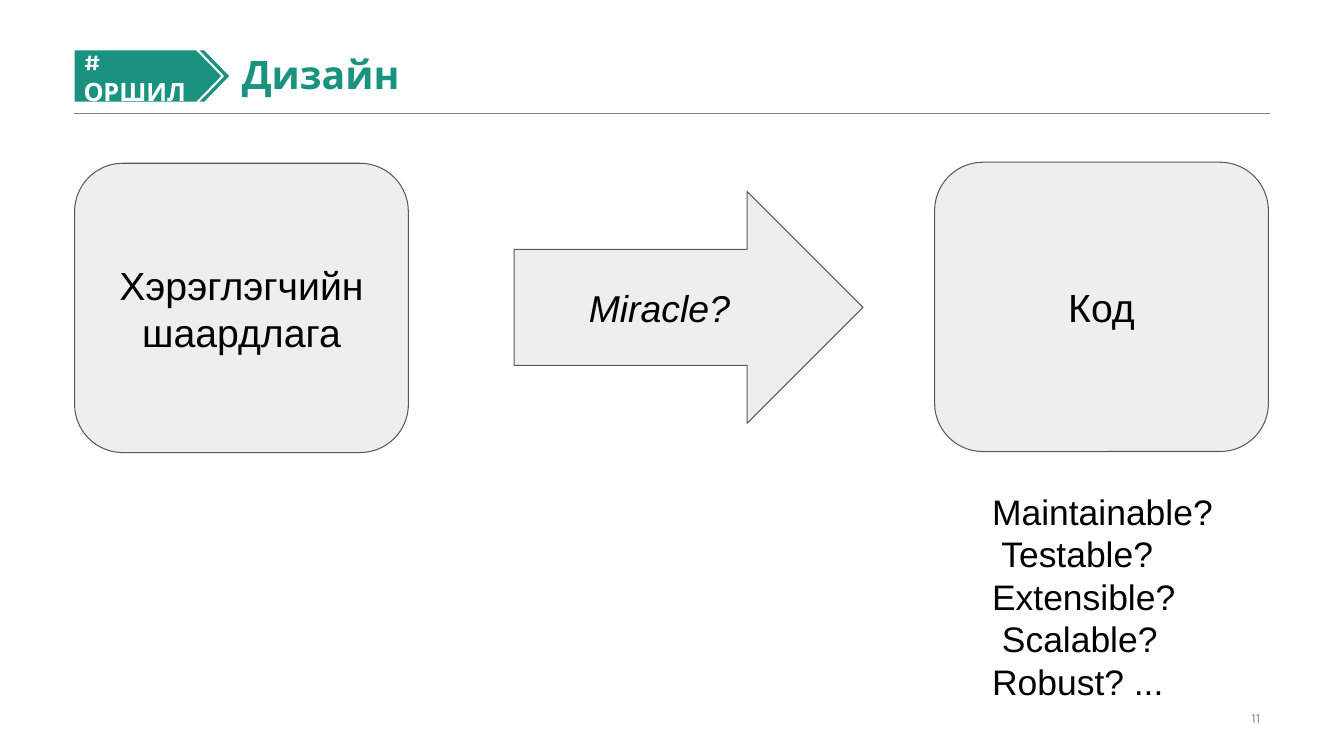
from pptx import Presentation
from pptx.dml.color import RGBColor
from pptx.enum.shapes import MSO_CONNECTOR, MSO_SHAPE
from pptx.enum.text import MSO_ANCHOR, PP_ALIGN
from pptx.oxml import parse_xml
from pptx.oxml.ns import nsdecls
from pptx.util import Emu, Pt

PX = 9144  # one px is 1/100 inch
COLORS = {
    "green": "1A9280",
    "white": "FFFFFF",
    "black": "000000",
    "panel": "EEEEEE",
    "outline": "595959",
    "rule": "808080",
    "number": "8C8C8C",
}


def px(*lengths):
    return [Emu(length * PX) for length in lengths]


def color(name):
    return RGBColor.from_string(COLORS[name])


class SlideBuilder:
    heading_font = "Karla"
    body_font = "Arial"

    def __init__(self, slide):
        self.slide = slide

    def rule(self, left, top, right):
        line = self.slide.shapes.add_connector(
            MSO_CONNECTOR.STRAIGHT, *px(left, top, right, top))
        line.line.color.rgb = color("rule")
        line.line.width = Pt(0.25)
        line._element.spPr.append(parse_xml(f"<a:effectLst {nsdecls('a')}/>"))

    def shape(self, kind, box, fill, outline, width):
        shape = self.slide.shapes.add_shape(kind, *px(*box))
        shape.shadow.inherit = False
        shape.fill.solid()
        shape.fill.fore_color.rgb = color(fill)
        shape.line.color.rgb = color(outline)
        shape.line.width = Pt(width)
        return shape

    def panel(self, kind, box, text, size, italic=False):
        shape = self.shape(kind, box, "panel", "outline", 0.75)
        self.set_text(shape, [text], size, align=PP_ALIGN.CENTER, italic=italic)

    def badge(self, box):
        shape = self.shape(MSO_SHAPE.PENTAGON, box, "green", "white", 1.5)
        shape.adjustments[0] = 0.486
        return shape

    def text_box(self, box, lines, size, insets=None, **style):
        shape = self.slide.shapes.add_textbox(*px(*box))
        if insets:
            frame = shape.text_frame
            (frame.margin_left, frame.margin_top,
             frame.margin_right, frame.margin_bottom) = px(*insets)
        self.set_text(shape, lines, size, **style)

    def set_text(self, shape, lines, size, font=body_font, fill="black", bold=False,
                 italic=False, align=PP_ALIGN.LEFT, anchor=MSO_ANCHOR.MIDDLE, spacing=1.0):
        frame = shape.text_frame
        frame.word_wrap = True
        frame.vertical_anchor = anchor
        for index, line in enumerate(lines):
            paragraph = frame.add_paragraph() if index else frame.paragraphs[0]
            paragraph.text = line
            paragraph.alignment = align
            paragraph.line_spacing = spacing
            paragraph.font.name = font
            paragraph.font.size = Pt(size)
            paragraph.font.bold = bold
            paragraph.font.italic = italic
            paragraph.font.color.rgb = color(fill)


def main():
    presentation = Presentation()
    presentation.slide_width, presentation.slide_height = px(1333, 750)
    slide = presentation.slides.add_slide(presentation.slide_layouts[6])
    builder = SlideBuilder(slide)
    heading = builder.heading_font

    # Header rule, page number and title
    builder.rule(73, 112, 1260)
    builder.text_box((942, 701, 318, 23), ["11"], 10, font=heading,
                     fill="number", align=PP_ALIGN.RIGHT)
    builder.text_box((230, 49, 1030, 53), ["Дизайн"], 28, font=heading, fill="green",
                     bold=True, anchor=MSO_ANCHOR.BOTTOM, spacing=0.9)

    # From requirements to code
    builder.panel(MSO_SHAPE.ROUNDED_RECTANGLE, (74, 162, 331, 287),
                  "Хэрэглэгчийн шаардлага", 28)
    builder.panel(MSO_SHAPE.ROUNDED_RECTANGLE, (927, 161, 331, 287), "Код", 28)
    builder.panel(MSO_SHAPE.RIGHT_ARROW, (510, 190, 346, 230), "Miracle?", 26.7, italic=True)

    # Code qualities
    qualities = ["Maintainable?\v Testable?", "Extensible?\v Scalable?", "Robust? ..."]
    builder.text_box((984, 484, 223, 215), qualities, 25.3,
                     insets=(0, 2, 0, 0), anchor=MSO_ANCHOR.TOP)

    # Section badge, doubled at its tip
    builder.badge((73, 49, 156, 53))
    front = builder.badge((73, 49, 148, 53))
    builder.set_text(front, ["# ОРШИЛ"], 18, font=heading, fill="white", bold=True)

    presentation.save("out.pptx")


if __name__ == "__main__":
    main()
